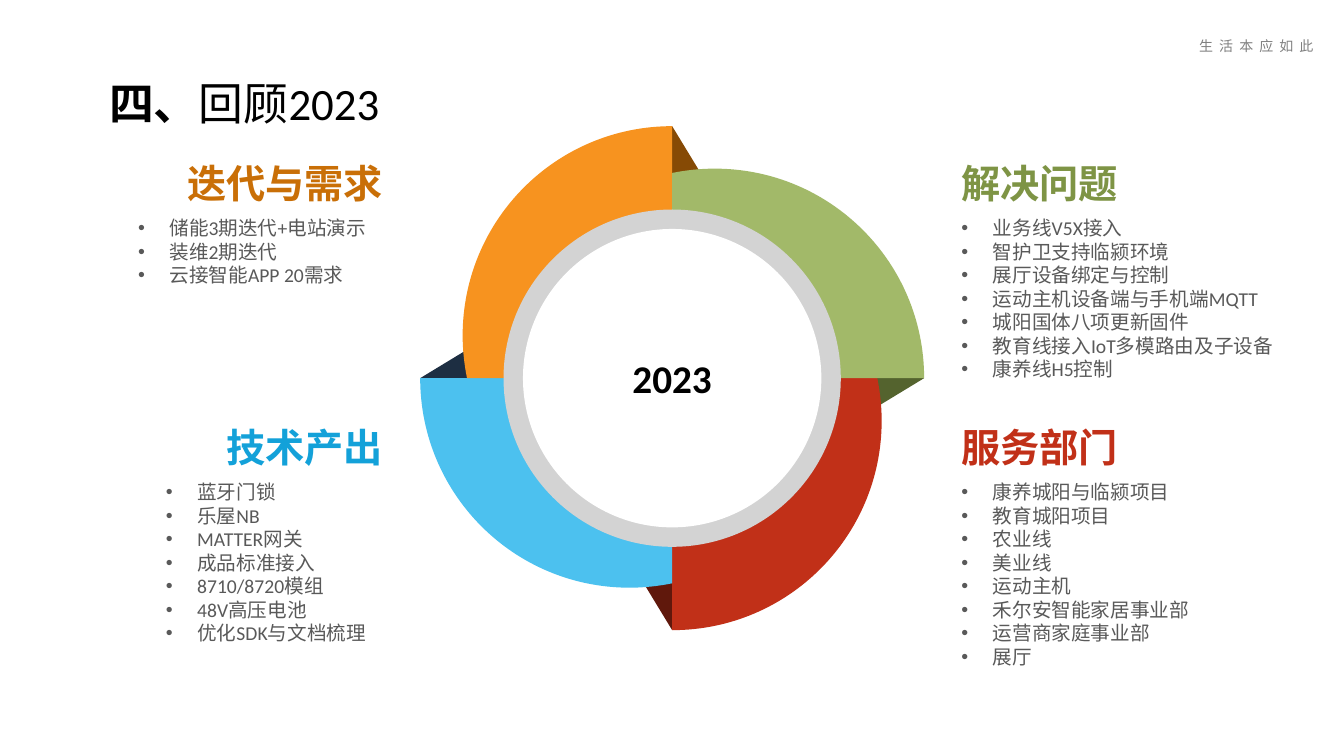
from lxml import etree
from pptx import Presentation
from pptx import util as u
from pptx.dml.color import RGBColor
from pptx.enum import shapes, text
from pptx.oxml.ns import qn

MID_X, MID_Y = 16.94, 9.53
FONT = "Calibri"
ALIGN = text.PP_ALIGN

FOLD = [(0, 6.35), (-0.82, 5), (0, 4.19)]
BLADE = [(0, 6.35), (2.92, 6.35), (5.28, 3.99), (5.28, 1.07),
         (5.28, 0.71), (5.24, 0.35), (5.17, 0),
         (4.19, 0), (4.19, 2.31), (2.31, 4.19), (0, 4.19)]
BENDS = [0, 3, 7]

BLADES = [
    ("C13018", "60180C"),
    ("4CC1EF", "1D2E42"),
    ("F7931F", "864A05"),
    ("A2B969", "54632E"),
]

PANELS = [
    ("服务部门", "C13018", 24.23, 10.52, 8.13, ALIGN.LEFT, ALIGN.JUSTIFY,
     ["康养城阳与临颍项目", "教育城阳项目", "农业线", "美业线", "运动主机",
      "禾尔安智能家居事业部", "运营商家庭事业部", "展厅"]),
    ("技术产出", "13A1D9", 4.18, 10.52, 5.47, ALIGN.RIGHT, ALIGN.JUSTIFY,
     ["蓝牙门锁", "乐屋NB", "MATTER网关", "成品标准接入",
      "8710/8720模组", "48V高压电池", "优化SDK与文档梳理"]),
    ("解决问题", "7E9445", 24.23, 3.87, 8.13, ALIGN.LEFT, ALIGN.JUSTIFY,
     ["业务线V5X接入", "智护卫支持临颍环境", "展厅设备绑定与控制",
      "运动主机设备端与手机端MQTT", "城阳国体八项更新固件",
      "教育线接入IoT多模路由及子设备", "康养线H5控制"]),
    ("迭代与需求", "C96F07", 3.48, 3.87, 6.17, ALIGN.RIGHT, ALIGN.LEFT,
     ["储能3期迭代+电站演示", "装维2期迭代", "云接智能APP 20需求"]),
]


def tint(code):
    """Turn a hex string into a colour."""
    return RGBColor.from_string(code)


def paint(shape, code):
    """Give a shape a flat fill without line or shadow."""
    shape.shadow.inherit = False
    shape.fill.solid()
    shape.fill.fore_color.rgb = tint(code)
    shape.line.fill.background()


def add_run(para, words, size, code, bold=False, face=FONT):
    """Add one styled run to a paragraph."""
    run = para.add_run()
    run.text = words
    font = run.font
    font.size, font.bold, font.name = u.Pt(size), bold, face
    font.color.rgb = tint(code)
    etree.SubElement(run._r.get_or_add_rPr(), qn("a:ea")).set("typeface", face)
    return run


def add_box(slide, left, top, width, height, inset=0.0, wrap=True):
    """Add a text box and return its frame."""
    box = slide.shapes.add_textbox(u.Cm(left), u.Cm(top), u.Cm(width), u.Cm(height))
    frame = box.text_frame
    frame.word_wrap = wrap
    frame.margin_left = frame.margin_right = u.Cm(inset)
    return frame


def set_dot(para):
    """Give a paragraph a hanging round bullet."""
    props = para._p.get_or_add_pPr()
    props.set("marL", str(u.Cm(0.79)))
    props.set("indent", str(-u.Cm(0.79)))
    etree.SubElement(props, qn("a:buFont")).set("typeface", "Arial")
    etree.SubElement(props, qn("a:buChar")).set("char", "•")


def add_panel(slide, title, code, left, top, width, side, flow, items):
    """Add a coloured heading with its bullet list."""
    head = add_box(slide, left, top, width, 1.45)
    head.vertical_anchor = text.MSO_ANCHOR.BOTTOM
    head.paragraphs[0].alignment = side
    add_run(head.paragraphs[0], title, 28, code, True)
    body = add_box(slide, left, top + 1.45, width, 0.25 + 0.6 * len(items))
    for i, item in enumerate(items):
        para = body.add_paragraph() if i else body.paragraphs[0]
        para.alignment = flow
        set_dot(para)
        add_run(para, item, 14, "595959")


def bend(shape, starts):
    """Join three segments from each start into one cubic curve."""
    lines = list(shape._element.iter(qn("a:lnTo")))
    for start in starts:
        trio = lines[start:start + 3]
        curve = etree.Element(qn("a:cubicBezTo"))
        trio[0].addprevious(curve)
        for line in trio:
            curve.append(line[0])
            line.getparent().remove(line)


def add_form(group, points, turns, code, starts=()):
    """Draw an outline turned clockwise by quarter turns."""
    for _ in range(turns):
        points = [(-y, x) for x, y in points]
    spots = [(u.Cm(MID_X + x), u.Cm(MID_Y + y)) for x, y in points]
    pen = group.shapes.build_freeform(*spots[0])
    pen.add_line_segments(spots[1:])
    form = pen.convert_to_shape()
    bend(form, starts)
    paint(form, code)


def add_disc(group, size, code):
    """Add a circle around the middle."""
    disc = group.shapes.add_shape(
        shapes.MSO_SHAPE.OVAL, u.Cm(MID_X - size / 2), u.Cm(MID_Y - size / 2),
        u.Cm(size), u.Cm(size))
    paint(disc, code)
    return disc


def add_wheel(slide):
    """Add the four folded blades and the labelled hub."""
    group = slide.shapes.add_group_shape()
    for i, (_, dark) in enumerate(BLADES):
        add_form(group, FOLD, i, dark)
    for i, (light, _) in enumerate(BLADES):
        add_form(group, BLADE, i, light, BENDS)
    add_disc(group, 8.5, "D3D3D3")
    frame = add_disc(group, 7.52, "FFFFFF").text_frame
    frame.vertical_anchor = text.MSO_ANCHOR.MIDDLE
    para = frame.paragraphs[0]
    para.alignment = ALIGN.CENTER
    add_run(para, "2023", 28, "000000", True)


def main():
    """Build and save the slide."""
    deck = Presentation()
    deck.slide_width, deck.slide_height = u.Cm(33.87), u.Cm(19.05)
    slide = deck.slides.add_slide(deck.slide_layouts[6])
    motto = add_box(slide, 29.97, 0.82, 3.8, 0.75, 0.25, False).paragraphs[0]
    run = add_run(motto, "生 活 本 应 如 此", 10, "808080", face="Noto Sans CJK SC")
    run._r.get_or_add_rPr().set("spc", "108")
    title = add_box(slide, 2.5, 1.79, 16.94, 1.63, 0.25).paragraphs[0]
    add_run(title, "四、", 32, "000000", True)
    add_run(title, "回顾2023", 32, "000000")
    add_wheel(slide)
    for panel in PANELS:
        add_panel(slide, *panel)
    deck.save("out.pptx")


if __name__ == "__main__":
    main()
